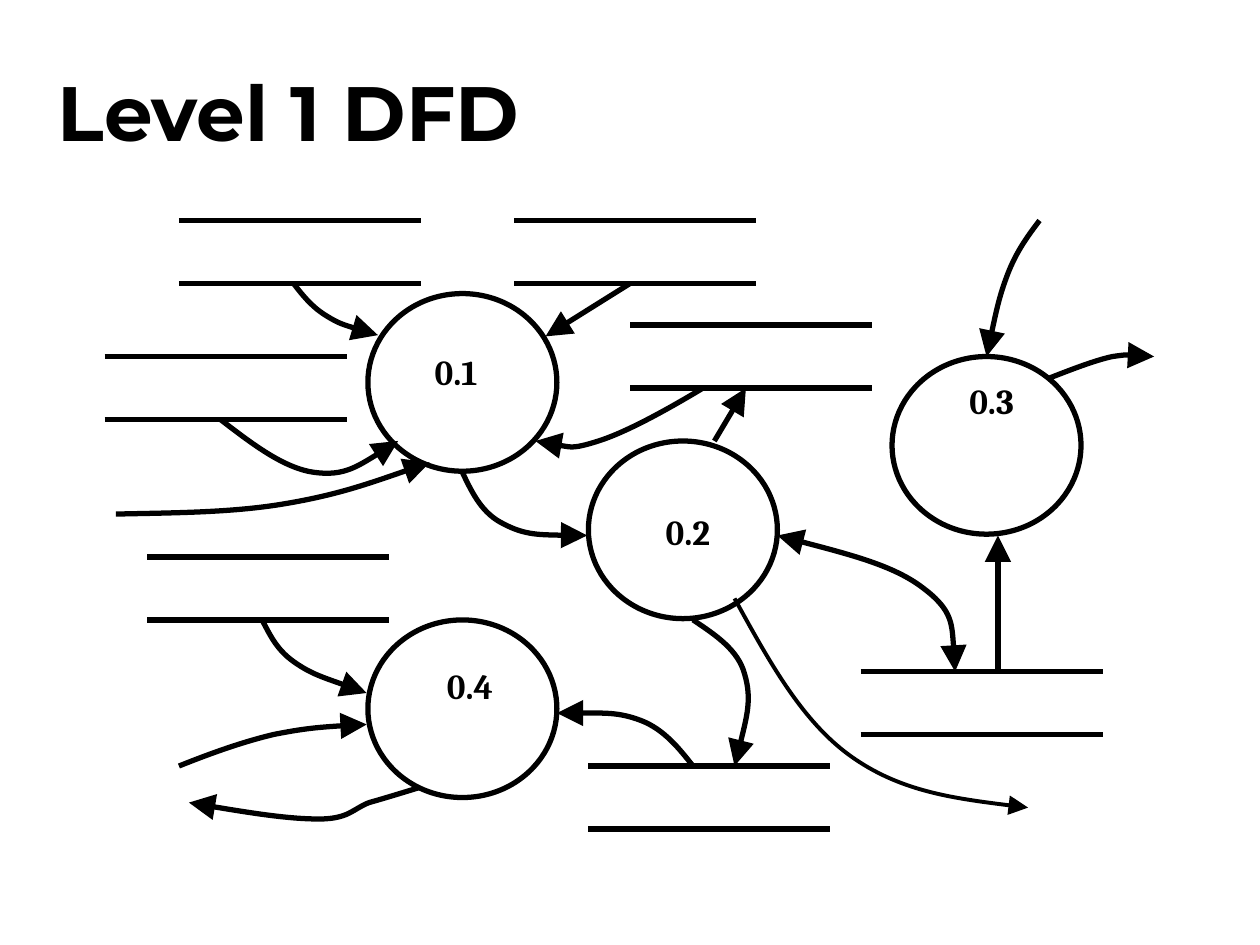
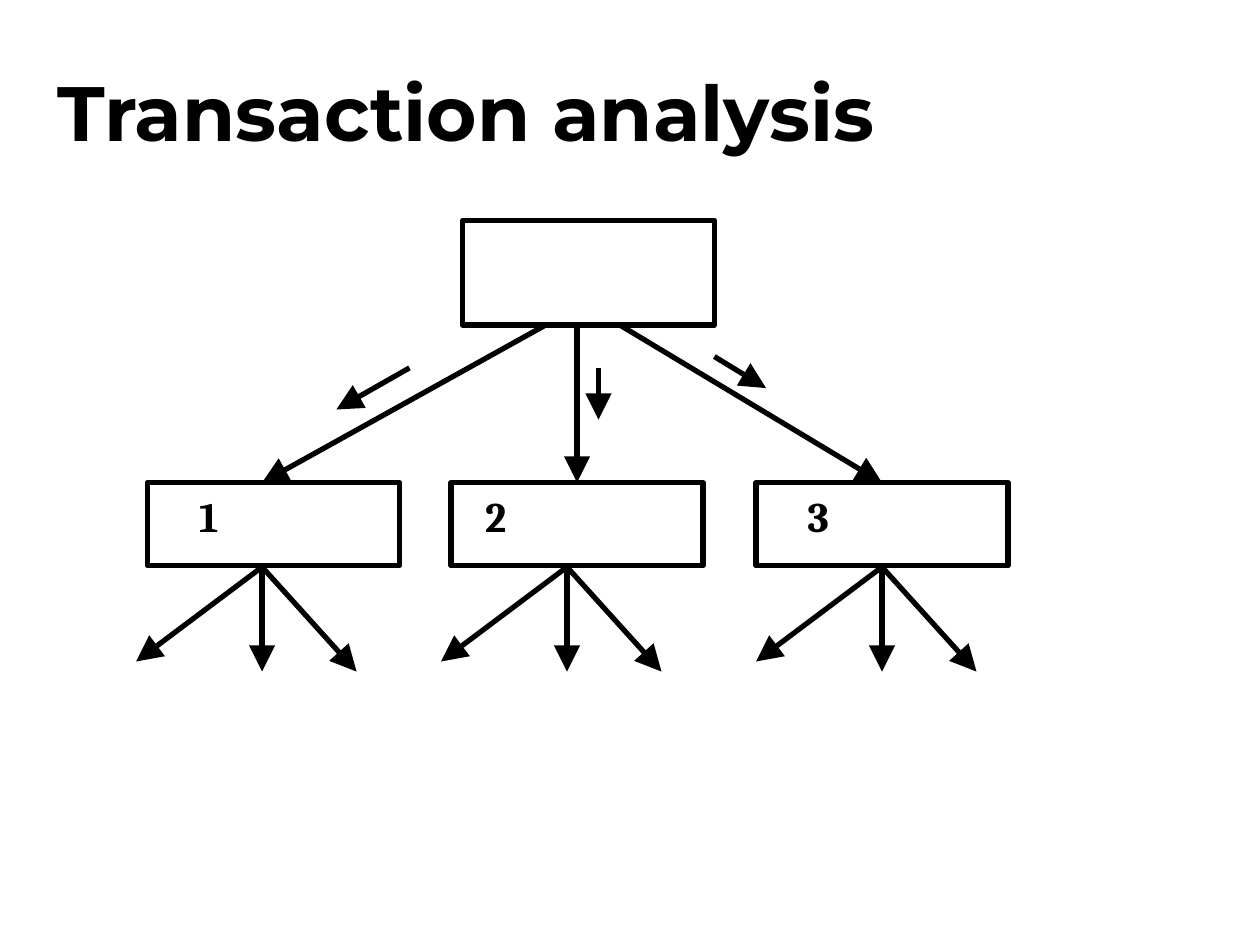
"""Build two slides: a level 1 data flow diagram and a transaction analysis chart."""
from dataclasses import dataclass
from lxml.etree import SubElement
from pptx import Presentation
from pptx.dml.color import RGBColor
from pptx.enum.shapes import MSO_CONNECTOR, MSO_SHAPE
from pptx.enum.text import MSO_ANCHOR, PP_ALIGN
from pptx.oxml.ns import qn
from pptx.util import Pt

PX = 9144


@dataclass(frozen=True)
class Theme:
    """Colours, fonts and sizes that both slides share."""
    ink: RGBColor = RGBColor(0, 0, 0)
    paper: RGBColor = RGBColor(255, 255, 255)
    title_font: str = "Montserrat"
    label_font: str = "Cambria"
    title_size: int = 44
    process_size: int = 20
    branch_size: int = 24
    stroke: float = 3
    thin_stroke: float = 2.25


THEME = Theme()
SLIDE_SIZE = (1000, 750)
TITLE_BOX = (44, 25, 850, 125)

DFD_TITLE = "Level 1 DFD"
PROCESS_SIZE = (150, 141)
PROCESS_LABEL_SIZE = (108, 40)
PROCESSES = [
    ("0.1", (292, 233), (362, 295)),
    ("0.2", (467, 350), (546, 422)),
    ("0.3", (708, 283), (787, 318)),
    ("0.4", (292, 492), (373, 544)),
]
STORE_WIDTH, STORE_GAP = 192, 50
STORES = [(142, 175), (408, 175), (500, 258), (83, 283),
          (117, 442), (683, 533), (467, 608)]
FLOWS = [
    [(142, 608), (167, 598), (192, 589), (217, 583), (242, 578), (266, 576), (291, 575)],
    [(333, 625), (320, 629), (307, 633), (293, 637), (280, 642), (277, 650), (253, 650),
     (230, 650), (190, 644), (150, 637)],
    [(208, 492), (214, 503), (219, 515), (233, 525), (247, 535), (269, 542), (291, 550)],
    [(550, 608), (539, 594), (527, 579), (509, 572), (491, 565), (466, 566), (442, 566)],
    [(550, 492), (568, 504), (586, 516), (591, 535), (597, 555), (590, 581), (583, 608)],
    [(567, 350), (592, 308)],
    [(367, 375), (375, 392), (383, 408), (400, 416), (417, 425), (442, 425), (466, 425)],
    [(175, 333), (201, 353), (226, 372), (250, 375), (273, 378), (295, 364), (316, 350)],
    [(233, 225), (240, 234), (247, 243), (258, 250), (269, 257), (285, 262), (300, 266)],
    [(500, 225), (433, 267)],
    [(792, 533), (792, 425)],
    [(825, 175), (816, 187), (807, 199), (800, 217), (793, 235), (788, 259), (783, 283)],
    [(558, 308), (528, 326), (497, 343), (475, 350), (453, 357), (439, 353), (425, 350)],
    [(833, 300), (851, 293), (869, 286), (883, 283), (897, 281), (907, 282), (916, 283)],
    [(92, 408), (137, 407), (183, 407), (225, 400), (267, 393), (304, 380), (341, 367)],
]
TWO_WAY_FLOW = [(617, 425), (663, 437), (710, 449), (733, 467),
                (757, 485), (757, 509), (758, 533)]
THIN_FLOW = [(583, 475), (610, 524), (636, 572), (675, 600),
             (714, 628), (765, 635), (816, 641)]

ANALYSIS_TITLE = "Transaction analysis"
CONTROLLER = (367, 175, 200, 83)
BRANCH_TOP, BRANCH_WIDTH, BRANCH_HEIGHT = 383, 200, 66
LABEL_TOP, LABEL_WIDTH, LABEL_HEIGHT = 389, 100, 40
BRANCHES = [("1", 117, 156, 208), ("2", 358, 383, 450), ("3", 600, 639, 700)]
FAN_TOP = 450
FAN_REACH = [(-100, 75), (0, 83), (75, 83)]
DISPATCHES = [[(433, 258), (208, 383)], [(458, 258), (458, 383)], [(492, 258), (700, 383)]]
DATA_COUPLES = [[(325, 292), (267, 325)], [(475, 292), (475, 333)], [(567, 283), (608, 308)]]


def emu(*lengths):
    return [length * PX for length in lengths]


def add_text(slide, text, box, *, font, size, align=PP_ALIGN.LEFT):
    frame = slide.shapes.add_textbox(*emu(*box)).text_frame
    frame.word_wrap = True
    frame.vertical_anchor = MSO_ANCHOR.MIDDLE
    frame.margin_left = frame.margin_right = 2 * PX
    frame.margin_top = frame.margin_bottom = 5 * PX
    paragraph = frame.paragraphs[0]
    paragraph.alignment = align
    run = paragraph.add_run()
    run.text = text
    run.font.name, run.font.size, run.font.bold = font, Pt(size), True
    run.font.color.rgb = THEME.ink


def ink_line(part, width=THEME.stroke, ends=()):
    part.line.color.rgb = THEME.ink
    part.line.width = Pt(width)
    properties = part._element.spPr
    for end in ends:
        SubElement(properties.find(qn("a:ln")), qn(f"a:{end}"), type="triangle", w="lg", len="lg")
    if properties.find(qn("a:effectLst")) is None:
        SubElement(properties, qn("a:effectLst"))


def add_outline(slide, preset, box):
    outline = slide.shapes.add_shape(preset, *emu(*box))
    outline.fill.background()
    ink_line(outline)
    return outline


def add_straight(slide, start, end, **stroke):
    ink_line(slide.shapes.add_connector(MSO_CONNECTOR.STRAIGHT, *emu(*start, *end)), **stroke)


def add_curve(slide, points, **stroke):
    builder = slide.shapes.build_freeform(*points[0], scale=PX)
    builder.add_line_segments(points[1:], close=False)
    curve = builder.convert_to_shape()
    curve.fill.background()
    track = next(curve._element.spPr.iter(qn("a:path")))
    track.set("fill", "none")
    segments = track.findall(qn("a:lnTo"))
    for first in range(0, len(segments), 3):
        bezier = SubElement(track, qn("a:cubicBezTo"))
        for segment in segments[first:first + 3]:
            bezier.append(segment[0])
            track.remove(segment)
    ink_line(curve, **stroke)


def add_flow(slide, points, ends=("tailEnd",), width=THEME.stroke):
    if len(points) == 2:
        add_straight(slide, *points, width=width, ends=ends)
    else:
        add_curve(slide, points, width=width, ends=ends)


def add_titled_slide(deck, title):
    slide = deck.slides.add_slide(deck.slide_layouts[6])
    slide.background.fill.solid()
    slide.background.fill.fore_color.rgb = THEME.paper
    add_text(slide, title, TITLE_BOX, font=THEME.title_font, size=THEME.title_size)
    return slide


def build_dfd(deck):
    slide = add_titled_slide(deck, DFD_TITLE)
    width, height = PROCESS_LABEL_SIZE
    for number, corner, (x, y) in PROCESSES:
        add_text(slide, number, (x - width // 2, y - height // 2, width, height),
                 font=THEME.label_font, size=THEME.process_size, align=PP_ALIGN.CENTER)
        add_outline(slide, MSO_SHAPE.OVAL, corner + PROCESS_SIZE)
    for left, top in STORES:
        for y in (top, top + STORE_GAP):
            add_straight(slide, (left, y), (left + STORE_WIDTH, y))
    for flow in FLOWS:
        add_flow(slide, flow)
    add_flow(slide, TWO_WAY_FLOW, ends=("headEnd", "tailEnd"))
    add_flow(slide, THIN_FLOW, width=THEME.thin_stroke)


def build_analysis(deck):
    slide = add_titled_slide(deck, ANALYSIS_TITLE)
    modules_boxes = [CONTROLLER] + [
        (left, BRANCH_TOP, BRANCH_WIDTH, BRANCH_HEIGHT) for _, left, _, _ in BRANCHES]
    for box in modules_boxes:
        add_outline(slide, MSO_SHAPE.ROUNDED_RECTANGLE, box).adjustments[0] = 0
    for flow in DISPATCHES + DATA_COUPLES:
        add_flow(slide, flow)
    for number, _, label_left, fan_x in BRANCHES:
        for dx, dy in FAN_REACH:
            add_flow(slide, [(fan_x, FAN_TOP), (fan_x + dx, FAN_TOP + dy)])
        add_text(slide, number, (label_left, LABEL_TOP, LABEL_WIDTH, LABEL_HEIGHT),
                 font=THEME.label_font, size=THEME.branch_size)


def main():
    deck = Presentation()
    deck.slide_width, deck.slide_height = emu(*SLIDE_SIZE)
    build_dfd(deck)
    build_analysis(deck)
    deck.save("out.pptx")


if __name__ == "__main__":
    main()
